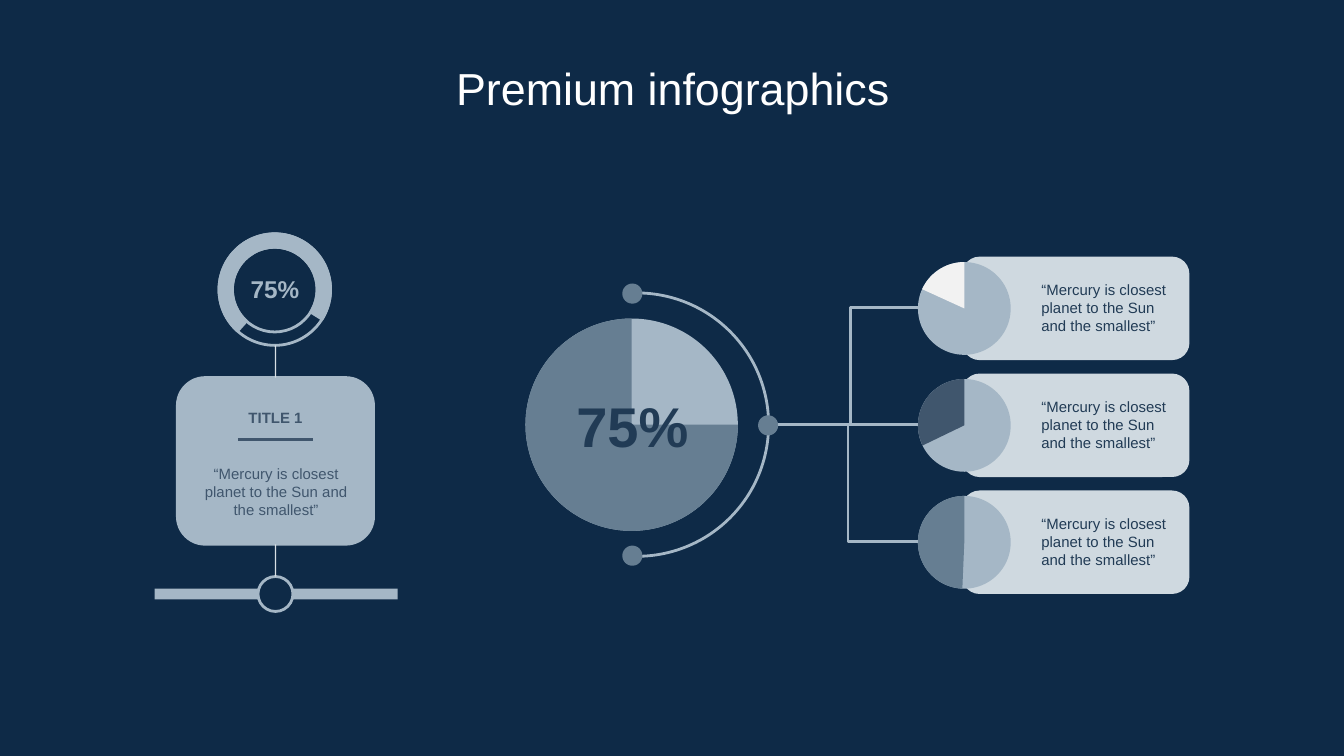
import pptx
import pptx.util
import pptx.dml.color
import pptx.enum.shapes
import pptx.enum.text
import pptx.oxml
import pptx.oxml.ns

Inches = pptx.util.Inches
SHAPE = pptx.enum.shapes.MSO_SHAPE
CONNECTOR = pptx.enum.shapes.MSO_CONNECTOR
ALIGN = pptx.enum.text.PP_ALIGN
ANCHOR = pptx.enum.text.MSO_ANCHOR

NAVY, INK, SLATE = "0E2A47", "213B55", "40566D"
STEEL, MIST, PALE = "667E92", "A5B7C6", "CFD9E0"
QUOTE = "“Mercury is closest planet to the Sun and the smallest”"
TOP_ANGLE = 162  # 270 degrees, in the adjustment unit of pies and arcs


def color(hex_code):
    return pptx.dml.color.RGBColor.from_string(hex_code)


def write(tf, text, size=8, fill=INK, bold=False, align=ALIGN.LEFT, anchor=ANCHOR.MIDDLE):
    tf.word_wrap = True
    tf.vertical_anchor = anchor
    tf.margin_left = tf.margin_right = tf.margin_top = tf.margin_bottom = Inches(0.1)
    p = tf.paragraphs[0]
    p.alignment = align
    r = p.add_run()
    r.text = text
    r.font.name = "Arial"
    r.font.size = pptx.util.Pt(size)
    r.font.bold = bold
    r.font.color.rgb = color(fill)


class Infographic:
    line_width = 1.5

    def __init__(self, prs):
        self.s = prs.slides.add_slide(prs.slide_layouts[6])
        self.s.background.fill.solid()
        self.s.background.fill.fore_color.rgb = color(NAVY)

    def shape(self, kind, x, y, w, h, fill=None, line=None, adj=()):
        sp = self.s.shapes.add_shape(kind, Inches(x), Inches(y), Inches(w), Inches(h))
        sp.shadow.inherit = False
        for i, value in enumerate(adj):
            sp.adjustments[i] = value
        if fill:
            sp.fill.solid()
            sp.fill.fore_color.rgb = color(fill)
        else:
            sp.fill.background()
        if line:
            sp.line.color.rgb = color(line)
            sp.line.width = pptx.util.Pt(self.line_width)
        else:
            sp.line.fill.background()
        return sp

    def text(self, x, y, w, h, text, **style):
        sp = self.s.shapes.add_textbox(Inches(x), Inches(y), Inches(w), Inches(h))
        write(sp.text_frame, text, **style)

    def connector(self, x1, y1, x2, y2, line, width=line_width, kind=CONNECTOR.STRAIGHT, bend=None):
        c = self.s.shapes.add_connector(kind, Inches(x1), Inches(y1), Inches(x2), Inches(y2))
        c.line.color.rgb = color(line)
        c.line.width = pptx.util.Pt(width)
        sp_pr = c._element.spPr
        sp_pr.append(pptx.oxml.parse_xml(f"<a:effectLst {pptx.oxml.ns.nsdecls('a')}/>"))
        if bend:
            guides = sp_pr.find(pptx.oxml.ns.qn("a:prstGeom")).get_or_add_avLst()
            guides.append(pptx.oxml.parse_xml(
                f"<a:gd {pptx.oxml.ns.nsdecls('a')} name='adj1' fmla='val {round(bend * 100000)}'/>"))
        return c

    def pie(self, x, y, size, fill, start, end=TOP_ANGLE):
        self.shape(SHAPE.OVAL, x, y, size, size, MIST)
        self.shape(SHAPE.PIE, x, y, size, size, fill, adj=(start, end))


def main():
    prs = pptx.Presentation()
    prs.slide_width = Inches(10)
    prs.slide_height = prs.slide_width * 9 // 16
    g = Infographic(prs)

    # Title
    g.text(1.15, 0.35, 7.71, 0.53, "Premium infographics", size=24, fill="FFFFFF",
           align=ALIGN.CENTER, anchor=ANCHOR.TOP)

    # Left column: ring, card and timeline marker
    axis = 2.05
    g.shape(SHAPE.RECTANGLE, 1.15, 4.38, 1.81, 0.08, MIST)
    g.shape(SHAPE.DONUT, 1.63, 1.74, 0.83, 0.83, line=MIST, adj=(0.12,))
    g.shape(SHAPE.BLOCK_ARC, 1.63, 1.74, 0.83, 0.83, MIST, MIST, (79.14, 19.26, 0.12))
    card = g.shape(SHAPE.ROUNDED_RECTANGLE, 1.32, 2.81, 1.46, 1.24, MIST, MIST)
    g.shape(SHAPE.OVAL, 1.92, 4.29, 0.26, 0.26, NAVY, MIST)
    g.connector(axis, 2.57, axis, 2.81, "D7DFE5", 0.75).end_connect(card, 0)
    g.connector(axis, 4.05, axis, 4.29, "D7DFE5", 0.75).begin_connect(card, 2)
    g.text(1.42, 3.41, 1.27, 0.5, QUOTE, fill=SLATE, align=ALIGN.CENTER)
    g.connector(1.77, 3.27, 2.33, 3.27, SLATE)
    g.text(1.59, 2.99, 0.92, 0.24, "TITLE 1", fill=SLATE, bold=True, align=ALIGN.CENTER)
    g.text(1.73, 1.95, 0.63, 0.4, "75%", size=13, fill=MIST, bold=True, align=ALIGN.CENTER)

    # Centre: main pie with its orbit
    g.shape(SHAPE.ARC, 3.76, 2.18, 1.96, 1.96, line=MIST, adj=(TOP_ANGLE, 52.98))
    g.pie(3.91, 2.37, 1.58, STEEL, 0)
    for x, y in ((4.63, 2.11), (4.63, 4.06), (5.64, 3.09)):
        g.shape(SHAPE.OVAL, x, y, 0.15, 0.15, STEEL)
    g.text(4.16, 2.82, 1.09, 0.69, "75%", size=30, bold=True, align=ALIGN.CENTER)

    # Right column: quote cards, each with a pie and a branch from the orbit
    branches = (("F2F2F2", 122.72, 0.52), (SLATE, 92.53, 0.5), (STEEL, 55.44, 0.5))
    for i, (fill, start, bend) in enumerate(branches):
        y = 1.91 + 0.87 * i
        g.shape(SHAPE.ROUNDED_RECTANGLE, 7.16, y, 1.69, 0.77, PALE)
        g.text(7.65, y + 0.14, 1.24, 0.48, QUOTE)
        g.pie(6.83, y + 0.04, 0.69, fill, start)
        g.connector(5.79, 3.16, 6.83, 3.16 + 0.87 * (i - 1), MIST, kind=CONNECTOR.ELBOW, bend=bend)

    prs.save("out.pptx")


if __name__ == "__main__":
    main()
